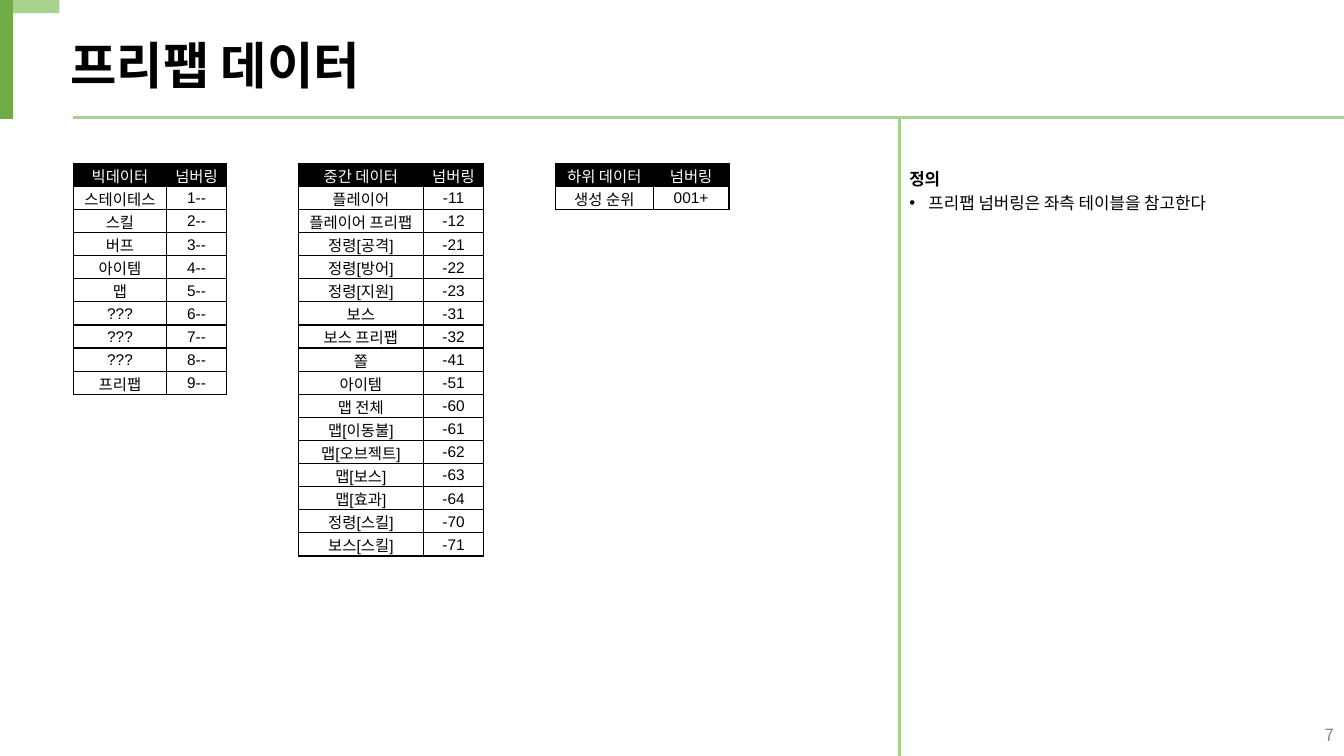
from lxml import etree
from pptx import Presentation
from pptx.dml.color import RGBColor
from pptx.enum.shapes import MSO_CONNECTOR, MSO_SHAPE
from pptx.enum.text import MSO_ANCHOR, PP_ALIGN
from pptx.oxml.ns import qn
from pptx.util import Inches, Pt

RECTANGLE, STRAIGHT = MSO_SHAPE.RECTANGLE, MSO_CONNECTOR.STRAIGHT
TOP, MIDDLE = MSO_ANCHOR.TOP, MSO_ANCHOR.MIDDLE
LEFT, CENTER, RIGHT = PP_ALIGN.LEFT, PP_ALIGN.CENTER, PP_ALIGN.RIGHT

COLORS = {"black": "000000", "white": "FFFFFF", "green": "70AD47",
          "light green": "A9D18E", "gray": "888888"}
KOREAN, LATIN = "Noto Sans CJK KR", "Arial"


def color(name):
    return RGBColor.from_string(COLORS[name])


def add_node(parent, tag, **attributes):
    return etree.SubElement(parent, qn(tag), attributes)


def write(paragraph, text, size=12, tint="black", bold=False, font=KOREAN,
          align=LEFT, spacing=None, bullet=None):
    paragraph.alignment = align
    if spacing:
        paragraph.line_spacing = spacing
    if bullet:
        properties = paragraph._p.get_or_add_pPr()
        indent = Inches(0.19)
        properties.set("marL", str(indent))
        properties.set("indent", str(-indent))
        bullet_color = add_node(properties, "a:buClr")
        add_node(bullet_color, "a:srgbClr", val=COLORS[tint])
        add_node(properties, "a:buFont", typeface=LATIN)
        add_node(properties, "a:buChar", char=bullet)
    run = paragraph.add_run()
    run.text = text
    run.font.size, run.font.bold, run.font.name = Pt(size), bold, font
    run.font.color.rgb = color(tint)
    add_node(run._r.get_or_add_rPr(), "a:ea", typeface=KOREAN)


class SlideBuilder:
    """Places elements by percent of the slide's width and height."""

    def __init__(self, deck):
        self.deck = deck
        self.slide = deck.slides.add_slide(deck.slide_layouts[6])
        self.shapes = self.slide.shapes

    def x(self, percent):
        return round(self.deck.slide_width * percent / 100)

    def y(self, percent):
        return round(self.deck.slide_height * percent / 100)

    def box(self, left, top, width, height):
        return self.x(left), self.y(top), self.x(width), self.y(height)

    def block(self, area, tint):
        block = self.shapes.add_shape(RECTANGLE, *self.box(*area))
        block.shadow.inherit = False
        block.fill.solid()
        block.fill.fore_color.rgb = color(tint)
        block.line.fill.background()

    def rule(self, x1, y1, x2, y2):
        rule = self.shapes.add_connector(
            STRAIGHT, self.x(x1), self.y(y1), self.x(x2), self.y(y2))
        rule.line.color.rgb = color("light green")
        rule.line.width = Pt(2.25)
        add_node(rule._element.spPr, "a:effectLst")

    def text(self, area, *lines, anchor=TOP):
        frame = self.shapes.add_textbox(*self.box(*area)).text_frame
        frame.word_wrap = True
        frame.vertical_anchor = anchor
        for index, (line, style) in enumerate(lines):
            paragraph = frame.add_paragraph() if index else frame.paragraphs[0]
            write(paragraph, line, **style)

    def table(self, left, top, widths, row_height, rows):
        area = self.box(left, top, sum(widths), row_height * len(rows))
        table = self.shapes.add_table(len(rows), len(widths), *area).table
        table.first_row = table.horz_banding = False
        for column, width in zip(table.columns, widths):
            column.width = self.x(width)
        for index, values in enumerate(rows):
            table.rows[index].height = self.y(row_height)
            for cell, value in zip(table.rows[index].cells, values):
                self.cell(cell, value, header=index == 0)

    def cell(self, cell, value, header):
        cell.margin_left = cell.margin_right = cell.margin_top = Inches(0.01)
        cell.margin_bottom = 0
        cell.vertical_anchor = MIDDLE
        for side in ("a:lnL", "a:lnR", "a:lnT", "a:lnB"):
            border = add_node(cell._tc.get_or_add_tcPr(), side, w=str(Pt(1)))
            border_fill = add_node(border, "a:solidFill")
            add_node(border_fill, "a:srgbClr", val=COLORS["black"])
        if header:
            cell.fill.solid()
            cell.fill.fore_color.rgb = color("black")
        else:
            cell.fill.background()
        write(cell.text_frame.paragraphs[0], value, size=11, font=LATIN,
              tint="white" if header else "black", align=CENTER)


BIG_DATA = [("빅데이터", "넘버링")] + [
    (name, f"{number}--") for number, name in enumerate(
        ["스테이테스", "스킬", "버프", "아이템", "맵", "???", "???", "???", "프리팹"], 1)]

MIDDLE_DATA = [
    ("중간 데이터", "넘버링"),
    ("플레이어", "-11"), ("플레이어 프리팹", "-12"),
    ("정령[공격]", "-21"), ("정령[방어]", "-22"), ("정령[지원]", "-23"),
    ("보스", "-31"), ("보스 프리팹", "-32"), ("쫄", "-41"), ("아이템", "-51"),
    ("맵 전체", "-60"), ("맵[이동불]", "-61"), ("맵[오브젝트]", "-62"),
    ("맵[보스]", "-63"), ("맵[효과]", "-64"),
    ("정령[스킬]", "-70"), ("보스[스킬]", "-71"),
]

LOWER_DATA = [("하위 데이터", "넘버링"), ("생성 순위", "001+")]


def main():
    deck = Presentation()
    deck.slide_width, deck.slide_height = Inches(13.33), Inches(7.5)
    page = SlideBuilder(deck)
    header_bottom, divider = 15.6, 66.92

    # Page number
    page.text((77.5, 94.53, 22.5, 5.33),
              ("7", {"tint": "gray", "align": RIGHT}), anchor=MIDDLE)

    # Header: corner mark, title and rules
    page.rule(5.4, header_bottom, 100, header_bottom)
    page.block((0, 0, 0.98, 15.73), "green")
    page.block((0.98, 0, 3.45, 1.73), "light green")
    page.text((4.5, 3.87, 77.8, 9.47),
              ("프리팹 데이터", {"size": 36, "bold": True}))
    page.rule(divider, 100, divider, header_bottom)

    # Numbering tables
    for left, widths, rows in (
            (5.48, (6.9, 4.5), BIG_DATA),
            (22.2, (9.3, 4.5), MIDDLE_DATA),
            (41.33, (7.28, 5.63), LOWER_DATA)):
        page.table(left, 21.6, widths, 3.06, rows)

    # Definition
    page.text((divider, 21.07, 33.08, 7.87),
              ("정의", {"bold": True, "spacing": 1.2}),
              ("프리팹 넘버링은 좌측 테이블을 참고한다",
               {"spacing": 1.2, "bullet": "•"}))

    deck.save("out.pptx")


if __name__ == "__main__":
    main()
